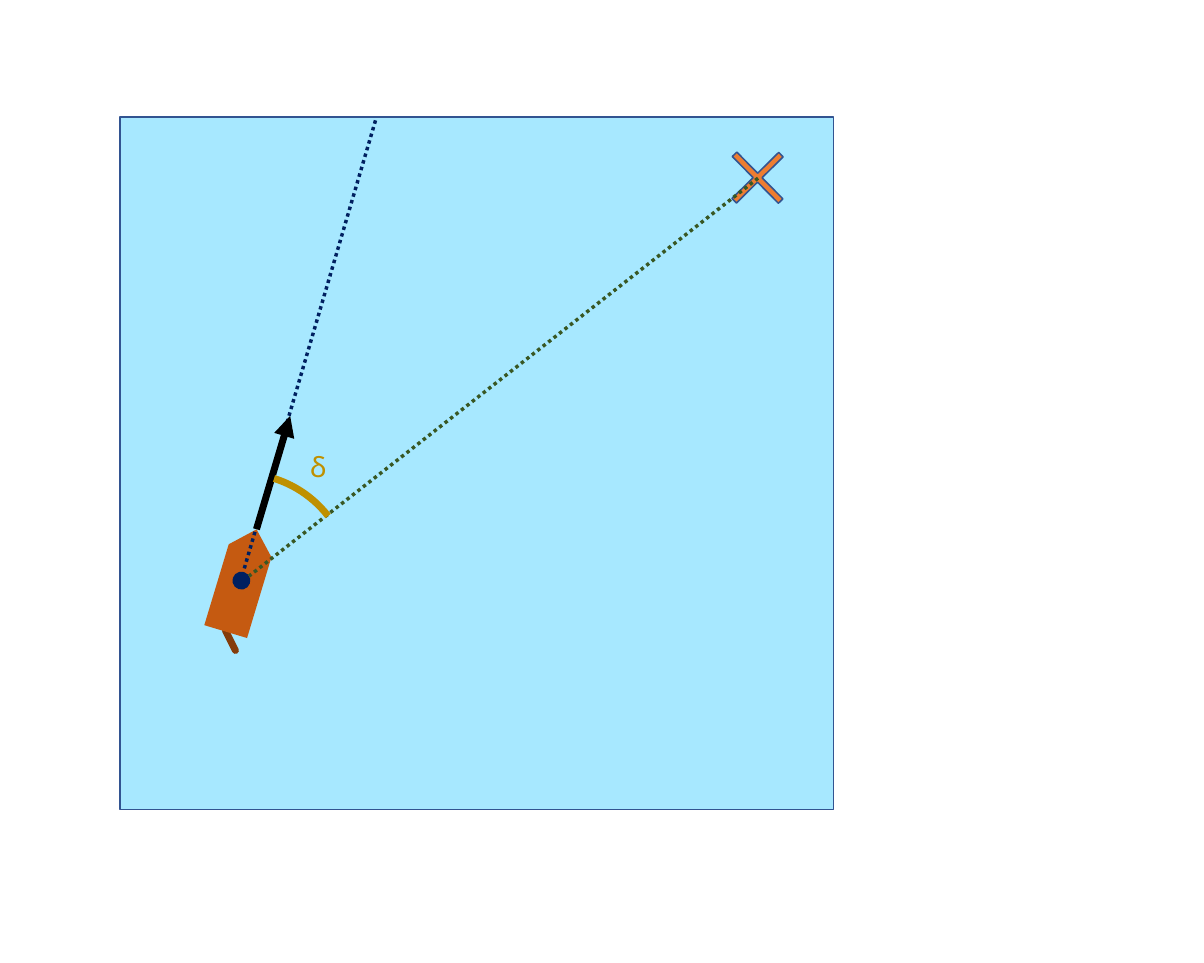
from lxml import etree
from pptx import Presentation
from pptx.dml.color import RGBColor
from pptx.enum import dml, shapes, text
from pptx.oxml import ns
from pptx.util import Cm, Pt

OUTLINE = "325491"
NAVY = "002060"
GOLD = "BF9000"


def color(hex_value):
    return RGBColor.from_string(hex_value)


def style_line(line, hex_value, width, dash=None):
    line.color.rgb = color(hex_value)
    line.width = Pt(width)
    if dash:
        line.dash_style = dash


def add_preset(parent, kind, box, fill=None, outline=None, width=1, rotation=0):
    shape = parent.shapes.add_shape(kind, *map(Cm, box))
    shape.shadow.inherit = False
    shape.rotation = rotation
    if fill:
        shape.fill.solid()
        shape.fill.fore_color.rgb = color(fill)
    else:
        shape.fill.background()
    if outline:
        style_line(shape.line, outline, width)
    else:
        shape.line.fill.background()
    return shape


def add_line(slide, start, end, hex_value, width, dash=None, cap=None, arrow=False):
    connector = slide.shapes.add_connector(
        shapes.MSO_CONNECTOR.STRAIGHT, *map(Cm, (*start, *end)))
    style_line(connector.line, hex_value, width, dash)
    properties = connector._element.spPr
    line = properties.find(ns.qn("a:ln"))
    if cap:
        line.set("cap", cap)
    if arrow:
        etree.SubElement(line, ns.qn("a:tailEnd"), type="triangle")
    etree.SubElement(properties, ns.qn("a:effectLst"))


def add_boat(slide, left, top):
    # Rudder, then the hull with its centre of gravity
    add_line(slide, (left + 0.86, top + 1.65), (left + 1.09, top + 2.11),
             "843C0B", 4.5, cap="rnd")
    boat = slide.shapes.add_group_shape()
    add_preset(boat, shapes.MSO_SHAPE.PENTAGON, (left, top, 2.44, 1.02),
               "C55A11", rotation=286.8)
    add_preset(boat, shapes.MSO_SHAPE.OVAL, (left + 1.02, top + 0.31, 0.41, 0.41),
               NAVY, rotation=16.8)


def add_target(slide, left, top, size):
    cross = add_preset(slide, shapes.MSO_SHAPE.CROSS, (left, top, size, size),
                       "ED7D31", OUTLINE, rotation=45.4)
    cross.adjustments[0] = 0.452


def add_angle(slide, left, top, size):
    # Arc between heading and course, angles in degrees
    arc = add_preset(slide, shapes.MSO_SHAPE.ARC, (left, top, size, size),
                     outline=GOLD, width=4.5)
    for index, degrees in enumerate((287.28, 322.27)):
        arc.adjustments[index] = degrees * 0.6

    # Angle label
    label = slide.shapes.add_textbox(Cm(left + 3.81), Cm(top - 0.66), Cm(0.89), Cm(1.02))
    frame = label.text_frame
    frame.word_wrap = False
    frame.auto_size = text.MSO_AUTO_SIZE.SHAPE_TO_FIT_TEXT
    paragraph = frame.paragraphs[0]
    paragraph.text = "δ"
    paragraph.font.name = "Karla"
    paragraph.font.size = Pt(18)
    paragraph.font.color.rgb = color(GOLD)


def add_sea(slide, left, top, width, height):
    def at(x, y):
        return left + x, top + y

    add_preset(slide, shapes.MSO_SHAPE.RECTANGLE, (left, top, width, height),
               "A7E8FF", OUTLINE)
    add_boat(slide, *at(1.55, 10.08))
    add_target(slide, *at(13.82, 0.64), 1.5)

    # Course to the target, heading and velocity
    dots = dml.MSO_LINE.ROUND_DOT
    add_line(slide, at(14.58, 1.4), at(2.95, 10.49), "385723", 2.25, dots)
    add_line(slide, at(5.84, 0.08), at(2.82, 10.39), NAVY, 2.25, dots)
    add_line(slide, at(3.12, 9.42), at(3.89, 6.83), "000000", 4.5, arrow=True)

    add_angle(slide, *at(0.28, 8.15), 5)


def main():
    presentation = Presentation()
    presentation.slide_width = Cm(27.51)
    presentation.slide_height = Cm(22)
    slide = presentation.slides.add_slide(presentation.slide_layouts[6])
    add_sea(slide, 2.74, 2.67, 16.31, 15.82)
    presentation.save("out.pptx")


if __name__ == "__main__":
    main()
